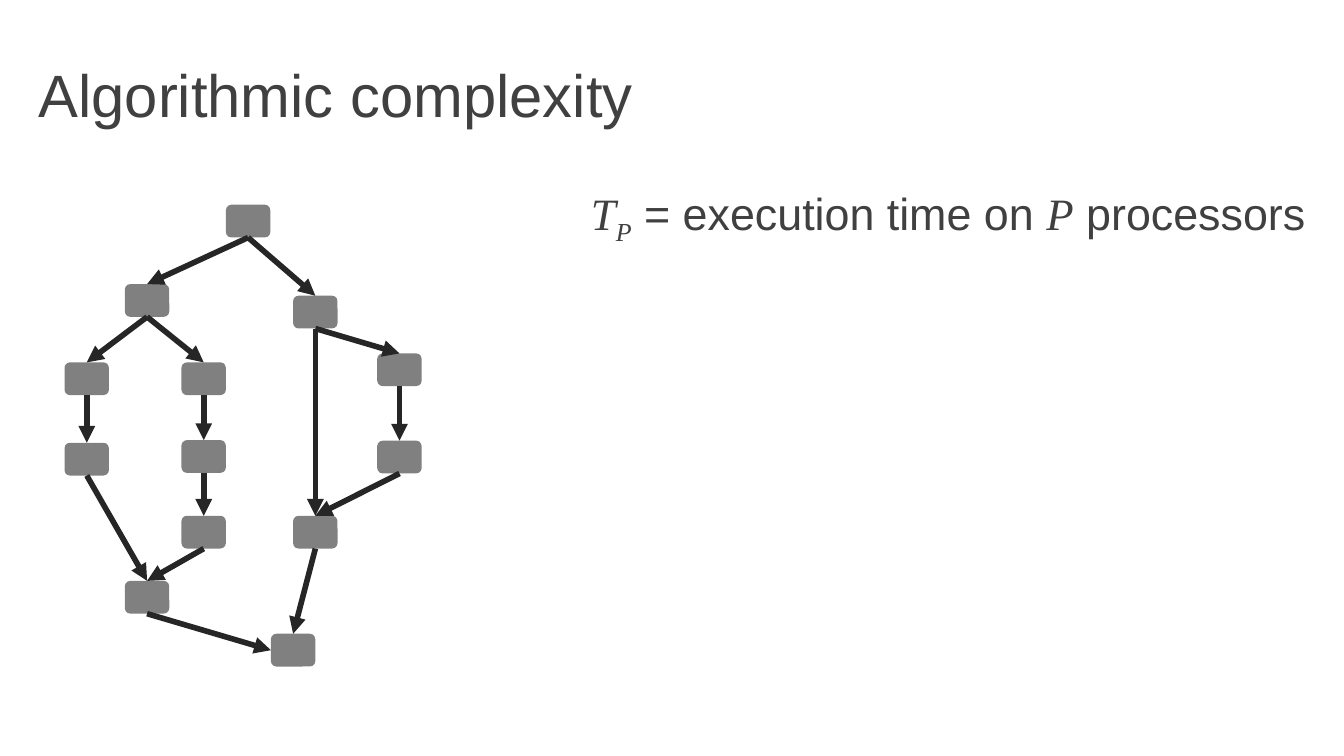
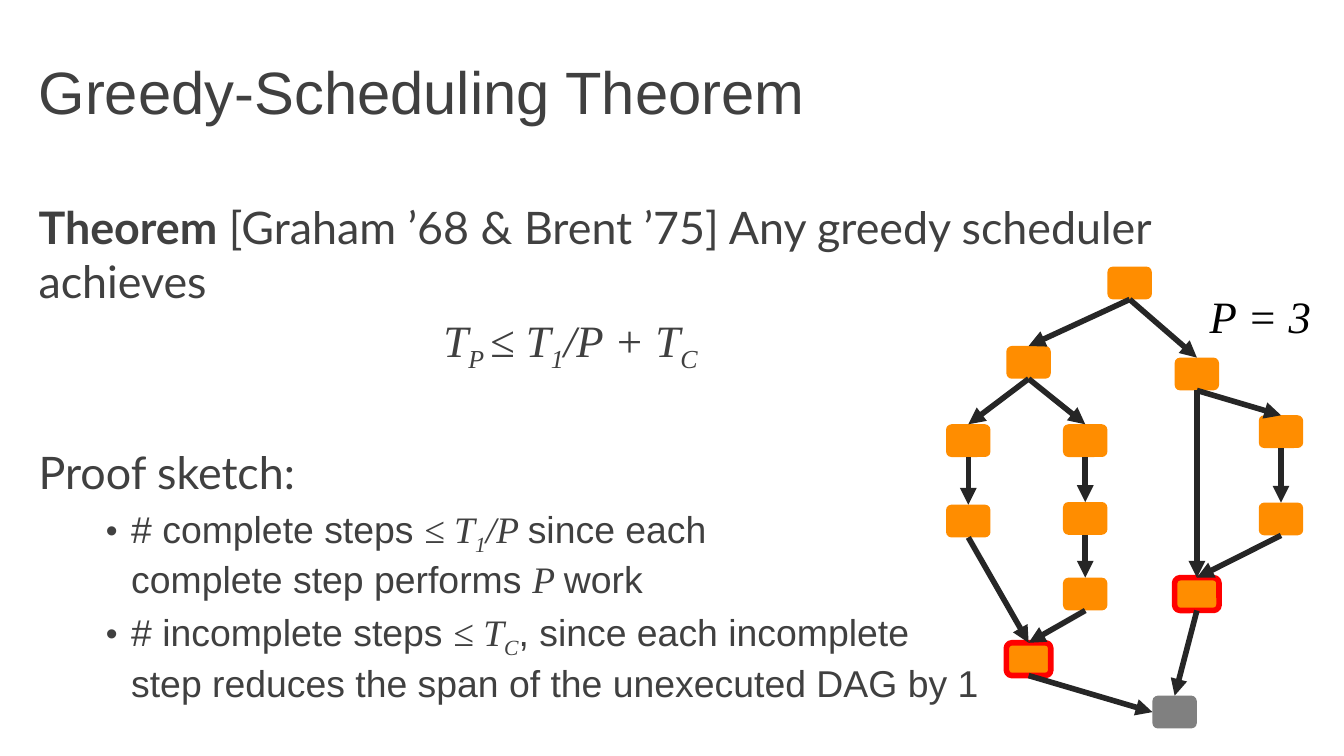
from lxml.etree import SubElement
from pptx import Presentation
from pptx.dml.color import RGBColor
from pptx.enum.shapes import MSO_CONNECTOR, MSO_SHAPE
from pptx.enum.text import MSO_ANCHOR, MSO_AUTO_SIZE
from pptx.oxml.ns import qn
from pptx.util import Cm, Pt

# Shared look
TEXT, EDGE, IDLE, DONE, READY = "404040", "262626", "808080", "FF8D00", "FF0000"
SANS, HUMAN, SERIF = "Arial", "Lato", "Times New Roman"
MARGIN, FULL_WIDTH = 0.48, 24.59
NODE_WIDTH, NODE_HEIGHT = 0.84, 0.62

# Span styles: body styles take the font of their paragraph
STYLES = {
    "body": {},
    "bold": {"bold": True},
    "math": {"font": SERIF, "italic": True},
    "sub": {"font": SERIF, "italic": True, "baseline": -25},
}

# Content: paragraphs are (spans, format)
TIME = [
    ([("T", "math"), ("P", "sub"), (" = execution time on ", "body"),
      ("P", "math"), (" processors", "body")], {}),
]
THEOREM = [
    ([("Theorem", "bold"),
      (" [Graham ’68 & Brent ’75] Any greedy scheduler achieves", "body")],
     {"font": HUMAN}),
    ([("T", "math"), ("P ", "sub"), ("≤ T", "math"), ("1", "sub"),
      ("/P + T", "math"), ("C", "sub")], {"left": 7.65, "before": 2.5}),
    ([("Proof sketch:", "body")], {"font": HUMAN, "before": 38}),
    ([("# complete steps ", "body"), ("≤ T", "math"), ("1", "sub"),
      ("/P ", "math"), ("since each\ncomplete step performs ", "body"),
      ("P ", "math"), ("work", "body")],
     {"size": 20, "before": 4, "bullet": True}),
    ([("# incomplete steps ", "body"), ("≤ T", "math"), ("C", "sub"),
      (", since each incomplete\n"
       "step reduces the span of the unexecuted DAG by 1", "body")],
     {"size": 20, "before": 4, "bullet": True}),
]
PROCESSORS = [([("P = 3", "math")], {"color": "000000"})]

# Task graph: left and top of each node in cm
NODES = {
    "root": (4.27, 3.87), "left": (2.36, 5.37), "outer 1": (1.22, 6.85),
    "left join": (2.36, 10.98), "right": (5.54, 5.59), "inner 1": (3.43, 6.85),
    "outer 2": (1.22, 8.37), "inner 2": (3.43, 8.32), "inner 3": (3.43, 9.75),
    "sink": (5.12, 11.98), "side 1": (7.13, 6.68), "right join": (5.54, 9.75),
    "side 2": (7.13, 8.33),
}
EDGES = [
    ("root", "left"), ("left", "outer 1"), ("left", "inner 1"),
    ("outer 1", "outer 2"), ("inner 1", "inner 2"), ("inner 2", "inner 3"),
    ("outer 2", "left join"), ("inner 3", "left join"), ("left join", "sink"),
    ("right join", "sink"), ("root", "right"), ("right", "right join"),
    ("right", "side 1"), ("side 1", "side 2"), ("side 2", "right join"),
]
TOP, LEFT, BOTTOM = 0, 1, 2  # connection sites of a node


def rgb(value):
    return RGBColor.from_string(value)


def add_span(para, text, font=SANS, size=24, color=TEXT, bold=False,
             italic=False, baseline=0):
    for index, line in enumerate(text.split("\n")):
        if index:
            para.add_line_break()
        span = para.add_run()
        span.text = line
        span.font.name, span.font.size = font, Pt(size)
        span.font.bold, span.font.italic = bold, italic
        span.font.color.rgb = rgb(color)
        if baseline:
            span._r.get_or_add_rPr().set("baseline", str(baseline * 1000))


def format_para(para, left=0, before=0, bullet=False):
    para.space_before = Pt(before)
    properties = para._p.get_or_add_pPr()
    if bullet:
        properties.set("marL", str(Cm(1.75)))
        properties.set("indent", str(Cm(-0.48)))
        SubElement(properties, qn("a:buSzPct"), val="90000")
        SubElement(properties, qn("a:buFont"), typeface=SANS)
        SubElement(properties, qn("a:buChar"), char="•")
    elif left:
        properties.set("marL", str(Cm(left)))


def add_text(page, paragraphs, left, top, width, height, wrap=True,
             anchor=MSO_ANCHOR.TOP):
    box = page.shapes.add_textbox(Cm(left), Cm(top), Cm(width), Cm(height))
    frame = box.text_frame
    frame.auto_size = MSO_AUTO_SIZE.NONE
    frame.word_wrap, frame.vertical_anchor = wrap, anchor
    for index, (spans, options) in enumerate(paragraphs):
        para = frame.add_paragraph() if index else frame.paragraphs[0]
        layout = {key: options[key] for key in ("left", "before", "bullet")
                  if key in options}
        look = {key: options[key] for key in options if key not in layout}
        format_para(para, **layout)
        for text, style in spans:
            add_span(para, text, **{**look, **STYLES[style]})


def add_page(deck, title, top):
    page = deck.slides.add_slide(deck.slide_layouts[6])
    add_text(page, [([(title, "body")], {"size": 32})], MARGIN, top,
             FULL_WIDTH, 2.39, anchor=MSO_ANCHOR.MIDDLE)
    return page


def add_graph(page, shift=(0, 0), fill=IDLE, idle=(), ready=()):
    nodes = {}
    for name, (left, top) in NODES.items():
        node = page.shapes.add_shape(
            MSO_SHAPE.ROUNDED_RECTANGLE, Cm(left + shift[0]),
            Cm(top + shift[1]), Cm(NODE_WIDTH), Cm(NODE_HEIGHT))
        node.shadow.inherit = False
        node.fill.solid()
        node.fill.fore_color.rgb = rgb(IDLE if name in idle else fill)
        if name in ready:
            node.line.color.rgb, node.line.width = rgb(READY), Pt(3)
        else:
            node.line.fill.background()
        nodes[name] = node
    for start, end in EDGES:
        edge = page.shapes.add_connector(MSO_CONNECTOR.STRAIGHT, 0, 0, 0, 0)
        edge.begin_connect(nodes[start], BOTTOM)
        from_side = (start, end) == ("left join", "sink")
        edge.end_connect(nodes[end], LEFT if from_side else TOP)
        edge.line.color.rgb, edge.line.width = rgb(EDGE), Pt(3)
        SubElement(edge.line._get_or_add_ln(), qn("a:tailEnd"), type="triangle")
        SubElement(edge._element.spPr, qn("a:effectLst"))


deck = Presentation()
deck.slide_width, deck.slide_height = Cm(25.4), Cm(14.29)

# Slide 1: complexity
page = add_page(deck, "Algorithmic complexity", 0.58)
add_text(page, TIME, 10.92, 3.38, 14.15, 5.56)
add_graph(page)

# Slide 2: theorem with a partly executed graph
page = add_page(deck, "Greedy-Scheduling Theorem", 0.51)
add_text(page, THEOREM, MARGIN, 3.66, FULL_WIDTH, 9.42)
add_graph(page, shift=(16.66, 1.17), fill=DONE, idle=("sink",),
          ready=("left join", "right join"))
add_text(page, PROCESSORS, 22.61, 5.33, 2.46, 1.27, wrap=False)

deck.save("out.pptx")
